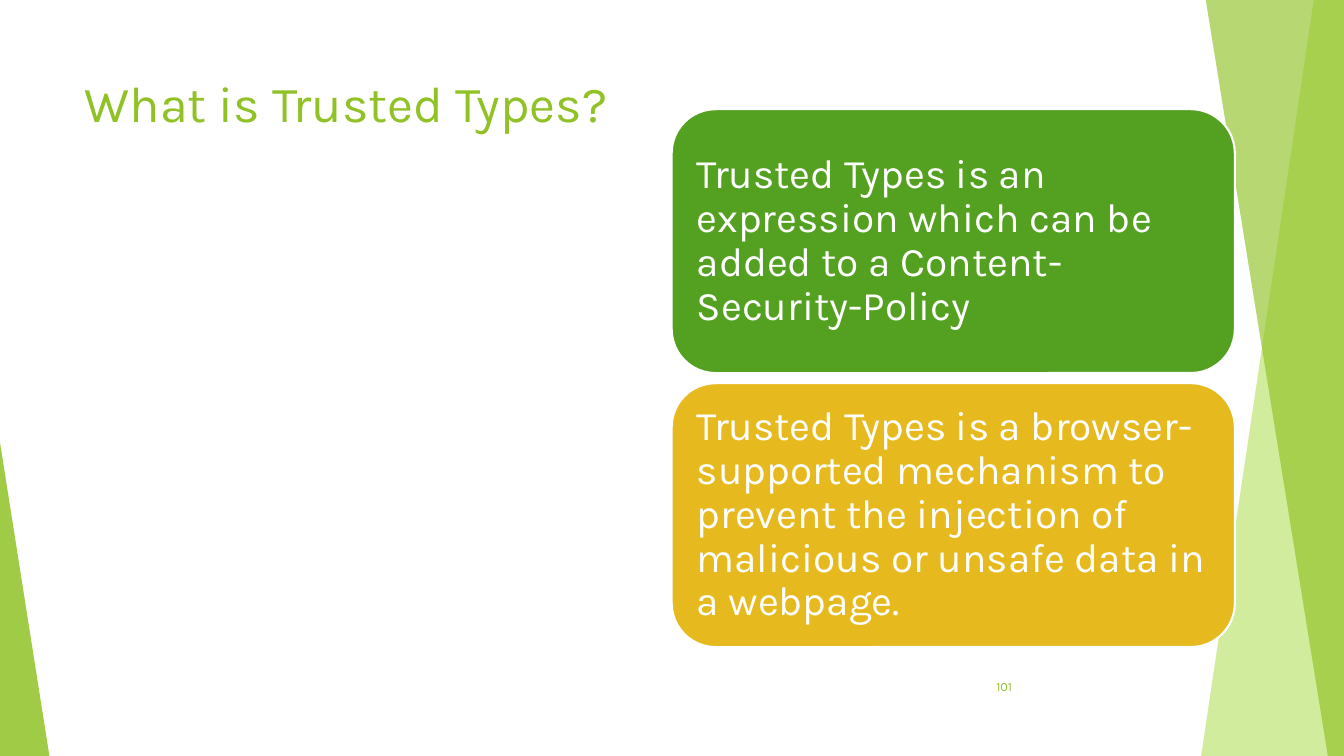
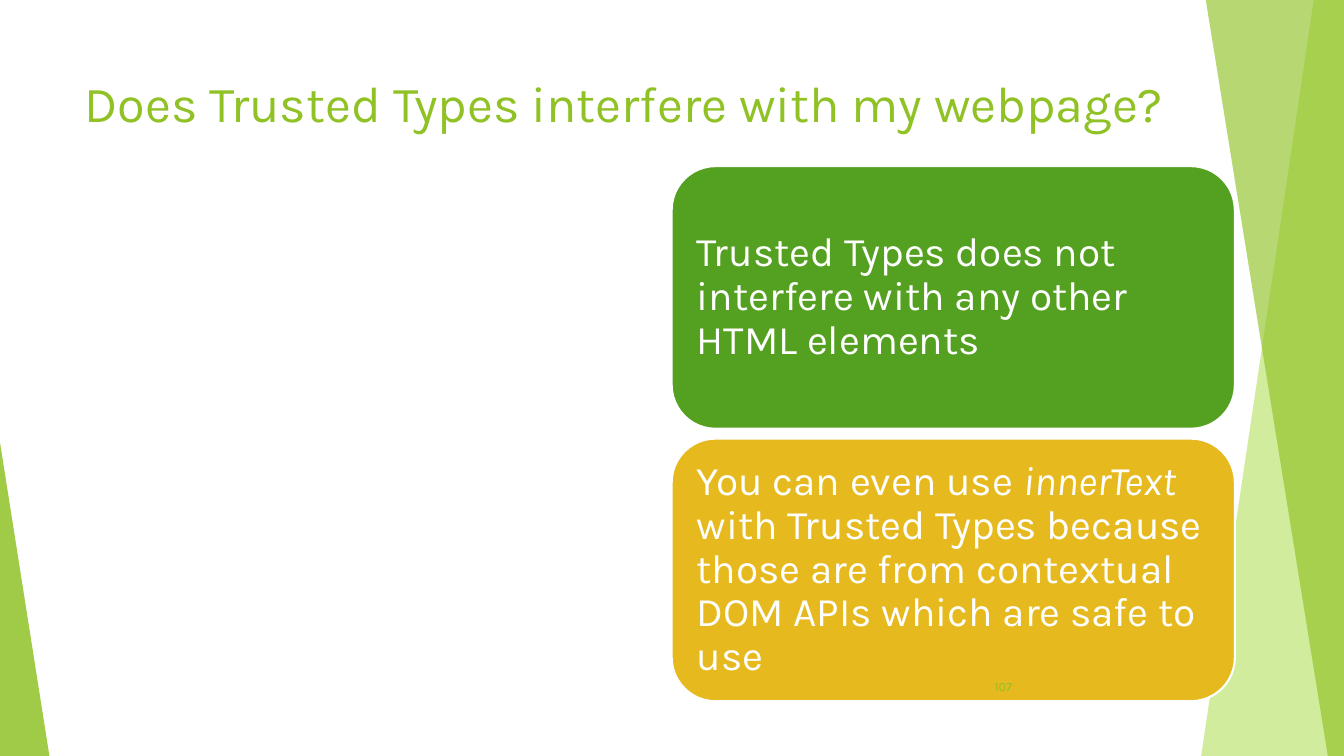
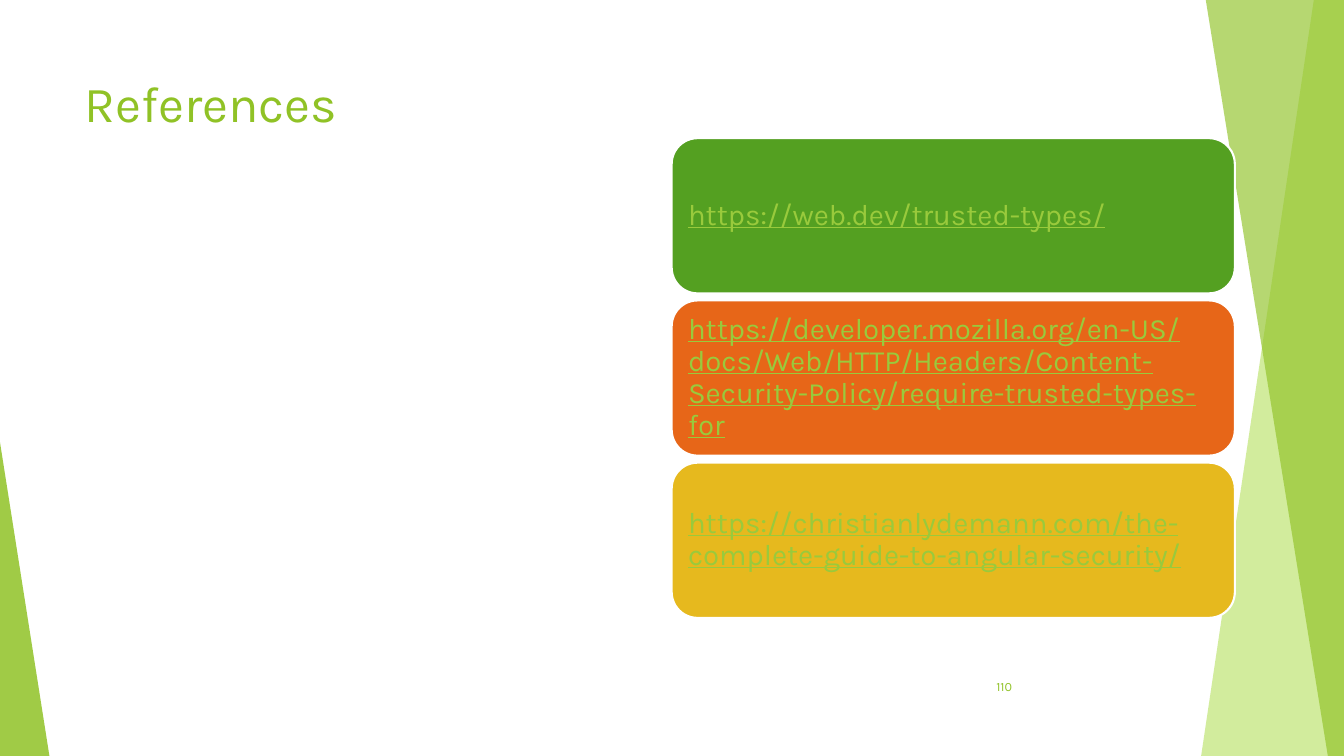
import pptx
import pptx.dml.color
import pptx.enum.shapes
import pptx.enum.text
import pptx.oxml.ns
import pptx.util
from lxml import etree

Pt = pptx.util.Pt
SHAPES = pptx.enum.shapes.MSO_SHAPE
ANCHOR = pptx.enum.text.MSO_ANCHOR
ALIGN = pptx.enum.text.PP_ALIGN

FONT = "Karla"
LIME, PALE_LIME, LINK = "90C226", "C0E474", "99CA3C"
GREEN, ORANGE, GOLD, WHITE = "54A021", "E76618", "E6B91E", "FFFFFF"
WIDTH, HEIGHT = 960, 540
CARD_LEFT, CARD_WIDTH = 479.8, 402.3


def color(hex_code):
    return pptx.dml.color.RGBColor.from_string(hex_code)


def fill_shape(shape, hex_code, opacity=None):
    shape.shadow.inherit = False
    shape.fill.solid()
    shape.fill.fore_color.rgb = color(hex_code)
    if opacity is not None:
        tag = pptx.oxml.ns.qn("a:srgbClr")
        alpha = etree.SubElement(next(shape.element.spPr.iter(tag)),
                                 pptx.oxml.ns.qn("a:alpha"))
        alpha.set("val", str(opacity * 1000))


def format_text(para, size, hex_code, align=ALIGN.LEFT):
    para.alignment = align
    for span in para.runs:
        span.font.name = FONT
        span.font.size = Pt(size)
        span.font.color.rgb = color(hex_code)


def place(shape, left, top, width, height):
    shape.left, shape.top = Pt(left), Pt(top)
    shape.width, shape.height = Pt(width), Pt(height)


# Shared template parts
def add_band(page, points, hex_code, opacity):
    corners = [(Pt(x), Pt(y)) for x, y in points]
    builder = page.shapes.build_freeform(*corners[0], scale=1.0)
    builder.add_line_segments(corners[1:], close=True)
    band = builder.convert_to_shape()
    fill_shape(band, hex_code, opacity)
    return band


def decorate_layout(layout, page):
    """Draw the side bands on a page and move them to its layout."""
    right_edge = [(WIDTH, 0), (WIDTH, HEIGHT)]
    pale_band = add_band(page, [(938.5, 0), *right_edge, (858, HEIGHT)], PALE_LIME, 70)
    lime_band = add_band(page, [(861.3, 0), *right_edge, (948.5, HEIGHT)], LIME, 65)
    wedge = page.shapes.add_shape(SHAPES.ISOSCELES_TRIANGLE,
                                  0, Pt(316), Pt(35.3), Pt(224))
    wedge.adjustments[0] = 0
    fill_shape(wedge, LIME, 85)
    for index, shape in enumerate((pale_band, lime_band, wedge)):
        shape.line.fill.background()
        layout.shapes.element.insert(2 + index, shape.element)


# Page elements
def set_title(page, text, width):
    title = page.shapes.title
    place(title, 53.3, 48, width, 104)
    frame = title.text_frame
    frame.text = text
    frame.auto_size = pptx.enum.text.MSO_AUTO_SIZE.NONE
    frame.vertical_anchor = ANCHOR.TOP
    format_text(frame.paragraphs[0], 36, LIME)


def add_card(page, top, height, fill, pieces, size, text_color, underline):
    """Add a rounded card; every second piece of its text is italic."""
    card = page.shapes.add_shape(SHAPES.ROUNDED_RECTANGLE, Pt(CARD_LEFT), Pt(top),
                                 Pt(CARD_WIDTH), Pt(height))
    fill_shape(card, fill)
    card.line.color.rgb = color(WHITE)
    card.line.width = Pt(1.5)
    frame = card.text_frame
    frame.word_wrap = True
    frame.vertical_anchor = ANCHOR.MIDDLE
    frame.margin_left = frame.margin_right = Pt(0.3 * size)
    frame.margin_top = frame.margin_bottom = Pt(0.3 * size)
    para = frame.paragraphs[0]
    para.line_spacing = 0.9
    for index, piece in enumerate(pieces):
        span = para.add_run()
        span.text = piece
        span.font.italic = index % 2 == 1
        span.font.underline = underline
    format_text(para, size, text_color)


def add_cards(page, cards, top, height, gap, size=29, text_color=WHITE, underline=False):
    for index, (fill, *pieces) in enumerate(cards):
        add_card(page, top + index * (height + gap), height, fill, pieces,
                 size, text_color, underline)


def add_page_number(page, number):
    box = page.shapes.add_textbox(Pt(676), Pt(476), Pt(54), Pt(28.8))
    frame = box.text_frame
    frame.word_wrap = True
    frame.vertical_anchor = ANCHOR.MIDDLE
    frame.text = str(number)
    format_text(frame.paragraphs[0], 9, LIME, ALIGN.RIGHT)


def add_page(deck, layout, title, number, cards, title_width=677, **card_style):
    page = deck.slides.add_slide(layout)
    set_title(page, title, title_width)
    add_cards(page, cards, **card_style)
    add_page_number(page, number)
    return page


def main():
    deck = pptx.Presentation()
    deck.slide_width, deck.slide_height = Pt(WIDTH), Pt(HEIGHT)
    layout = deck.slide_layouts.get_by_name("Title Only")

    # Definition
    first_page = add_page(deck, layout, "What is Trusted Types?", 101, [
        (GREEN, "Trusted Types is an expression which can be added to a "
                "Content-Security-Policy"),
        (GOLD, "Trusted Types is a browser-supported mechanism to prevent the "
               "injection of malicious or unsafe data in a webpage."),
    ], top=78, height=188.5, gap=7.2)
    decorate_layout(layout, first_page)

    # Compatibility
    add_page(deck, layout, "Does Trusted Types interfere with my webpage?", 107, [
        (GREEN, "Trusted Types does not interfere with any other HTML elements"),
        (GOLD, "You can even use ", "innerText",
         " with Trusted Types because those are from contextual DOM APIs "
         "which are safe to use"),
    ], title_width=787, top=118.7, height=187.6, gap=7)

    # References
    add_page(deck, layout, "References", 110, [
        (GREEN, "https://web.dev/trusted-types/"),
        (ORANGE, "https://developer.mozilla.org/en-US/docs/Web/HTTP/Headers/"
                 "Content-Security-Policy/require-trusted-types-for"),
        (GOLD, "https://christianlydemann.com/the-complete-guide-to-angular-security/"),
    ], top=98.7, height=110.9, gap=5, size=21, text_color=LINK, underline=True)

    deck.save("out.pptx")


if __name__ == "__main__":
    main()
